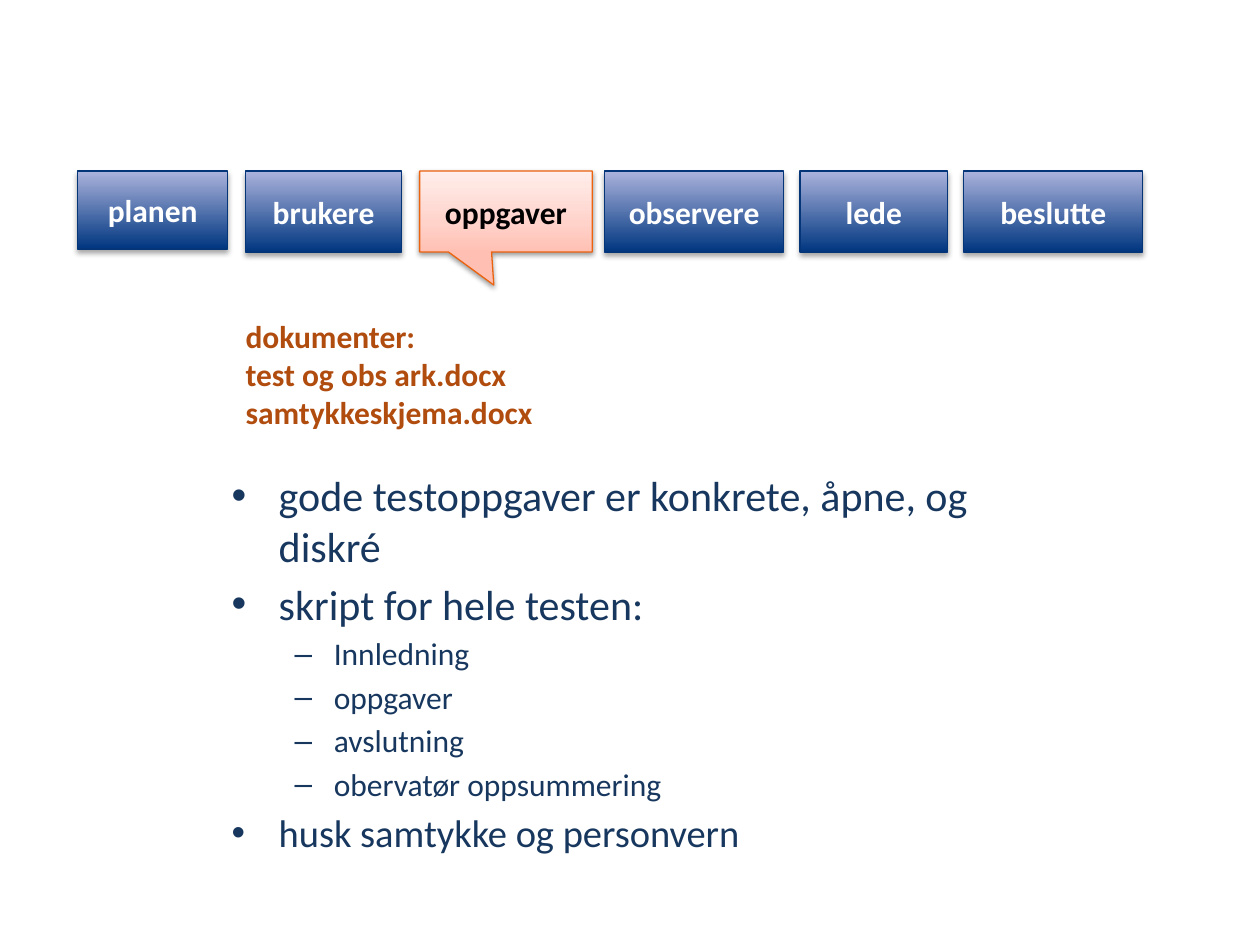
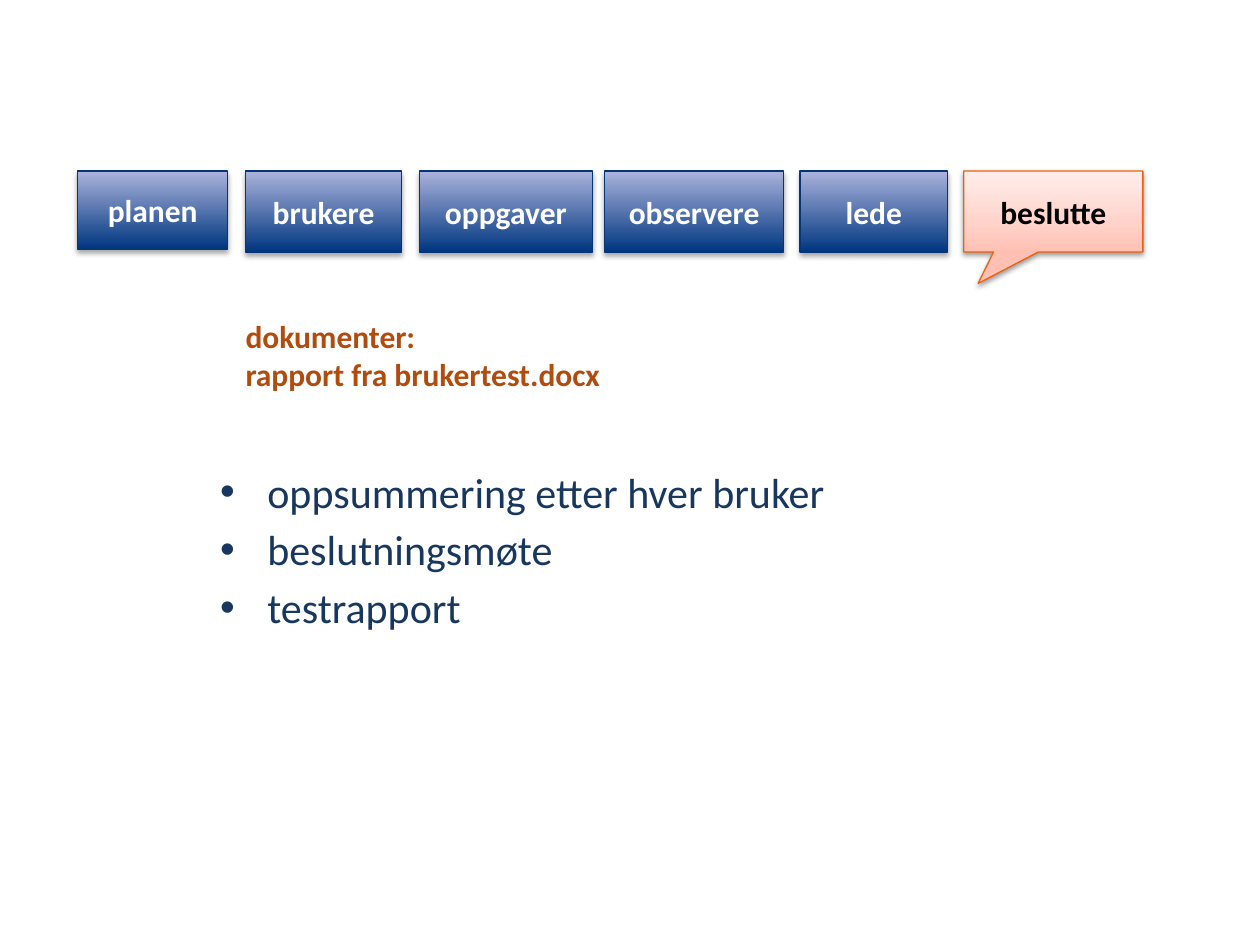
from copy import deepcopy

from lxml.etree import SubElement as Sub
from pptx import Presentation
from pptx.dml.color import RGBColor
from pptx.enum.shapes import MSO_SHAPE as Shape
from pptx.enum.text import MSO_ANCHOR as Anchor, PP_ALIGN as Align
from pptx.oxml.ns import qn
from pptx.util import Cm, Pt

STEPS = [
    ("planen", 1.57, 3.02, 1.57),
    ("brukere", 4.95, 3.15, 1.63),
    ("oppgaver", 8.46, 3.48, 1.63),
    ("observere", 12.19, 3.61, 1.63),
    ("lede", 16.13, 2.97, 1.63),
    ("beslutte", 19.43, 3.61, 1.63),
]
NORMAL = {"stops": [(0, "003680"), (1, "ABB3DC")], "line": "043579",
          "text": "FFFFFF", "alpha": 35, "dist": 1.8}
ACTIVE = {"stops": [(0, "FFC0B3"), (0.35, "FFD2CA"), (1, "FFEEEB")],
          "line": "EB620F", "text": "000000", "alpha": 38, "dist": 1.6}
BULLETS = [("•", 0.95, 0.95), ("–", 2.06, 0.79)]


def rgb(value):
    return RGBColor.from_string(value)


class Deck:
    """Holds the shared style and the slide being built."""

    font = "Calibri"
    body_color = "17375E"
    document_color = "B14C0F"

    def __init__(self):
        self.prs = Presentation()
        self.prs.slide_width, self.prs.slide_height = Cm(25.4), Cm(19.05)
        self.slide = None

    def new_slide(self):
        self.slide = self.prs.slides.add_slide(self.prs.slide_layouts[6])

    def run(self, p, text, color, size=18, bold=False):
        r = p.add_run()
        r.text = text
        for name, value in {"name": self.font, "size": Pt(size), "bold": bold}.items():
            setattr(r.font, name, value)
        r.font.color.rgb = rgb(color)

    def gradient(self, s, stops):
        s.fill.gradient()
        s.fill.gradient_angle = 90
        gs_list = s.element.spPr.find(qn("a:gradFill")).find(qn("a:gsLst"))
        for _ in stops[2:]:
            gs_list.append(deepcopy(gs_list[-1]))
        for stop, (position, color) in zip(s.fill.gradient_stops, stops):
            stop.position = position
            stop.color.rgb = rgb(color)

    def shadow(self, s, alpha, dist):
        s.shadow.inherit = False
        effects = s.element.spPr.find(qn("a:effectLst"))
        outer = Sub(effects, qn("a:outerShdw"), blurRad=str(Pt(3.1)), dist=str(Pt(dist)),
                    dir="5400000", rotWithShape="0")
        color = Sub(outer, qn("a:srgbClr"), val="000000")
        Sub(color, qn("a:alpha"), val=str(alpha * 1000))

    def step(self, text, left, width, height, pointer=None):
        look = ACTIVE if pointer else NORMAL
        kind = Shape.RECTANGULAR_CALLOUT if pointer else Shape.RECTANGLE
        s = self.slide.shapes.add_shape(kind, Cm(left), Cm(3.45), Cm(width), Cm(height))
        for i, value in enumerate(pointer or ()):
            s.adjustments[i] = value
        self.gradient(s, look["stops"])
        s.line.color.rgb = rgb(look["line"])
        s.line.width = Pt(0.75)
        self.shadow(s, look["alpha"], look["dist"])
        tf = s.text_frame
        tf.vertical_anchor = Anchor.MIDDLE
        p = tf.paragraphs[0]
        p.alignment = Align.CENTER
        self.run(p, text, look["text"], bold=True)

    def steps(self, active, pointer):
        for text, *place in STEPS:
            self.step(text, *place, pointer=pointer if text == active else None)

    def paragraphs(self, box, count):
        tf = self.slide.shapes.add_textbox(*map(Cm, box)).text_frame
        tf.word_wrap = True
        return [tf.paragraphs[0]] + [tf.add_paragraph() for _ in range(count - 1)]

    def bullets(self, box, items):
        for i, (p, (text, level, size)) in enumerate(zip(self.paragraphs(box, len(items)), items)):
            char, margin, hanging = BULLETS[level]
            p.level = level
            pPr = p._p.get_or_add_pPr()
            pPr.set("marL", str(Cm(margin)))
            pPr.set("indent", str(-Cm(hanging)))
            Sub(pPr, qn("a:buFont"), typeface="Arial")
            Sub(pPr, qn("a:buChar"), char=char)
            p.space_before = Pt(0.18 * size if i else 0)
            self.run(p, text, self.body_color, size)

    def documents(self, height, names):
        lines = ["dokumenter:", *names]
        for p, text in zip(self.paragraphs((4.7, 6.27, 17.07, height), len(lines)), lines):
            self.run(p, text, self.document_color, bold=True)


def main():
    deck = Deck()

    deck.new_slide()
    deck.steps("oppgaver", (-0.07, 0.91))
    deck.bullets((4.42, 9.35, 17.4, 8.41), [
        ("gode testoppgaver er konkrete, åpne, og diskré", 0, 24),
        ("skript for hele testen:", 0, 24),
        ("Innledning", 1, 18),
        ("oppgaver", 1, 18),
        ("avslutning", 1, 18),
        ("obervatør oppsummering", 1, 18),
        ("husk samtykke og personvern", 0, 22),
    ])
    deck.documents(2.57, ["test og obs ark.docx", "samtykkeskjema.docx"])

    deck.new_slide()
    deck.steps("beslutte", (-0.42, 0.89))
    deck.bullets((4.19, 9.27, 19.33, 4.7), [
        ("oppsummering etter hver bruker", 0, 24),
        ("beslutningsmøte", 0, 24),
        ("testrapport", 0, 24),
    ])
    deck.documents(1.8, ["rapport fra brukertest.docx"])

    deck.prs.save("out.pptx")


if __name__ == "__main__":
    main()
